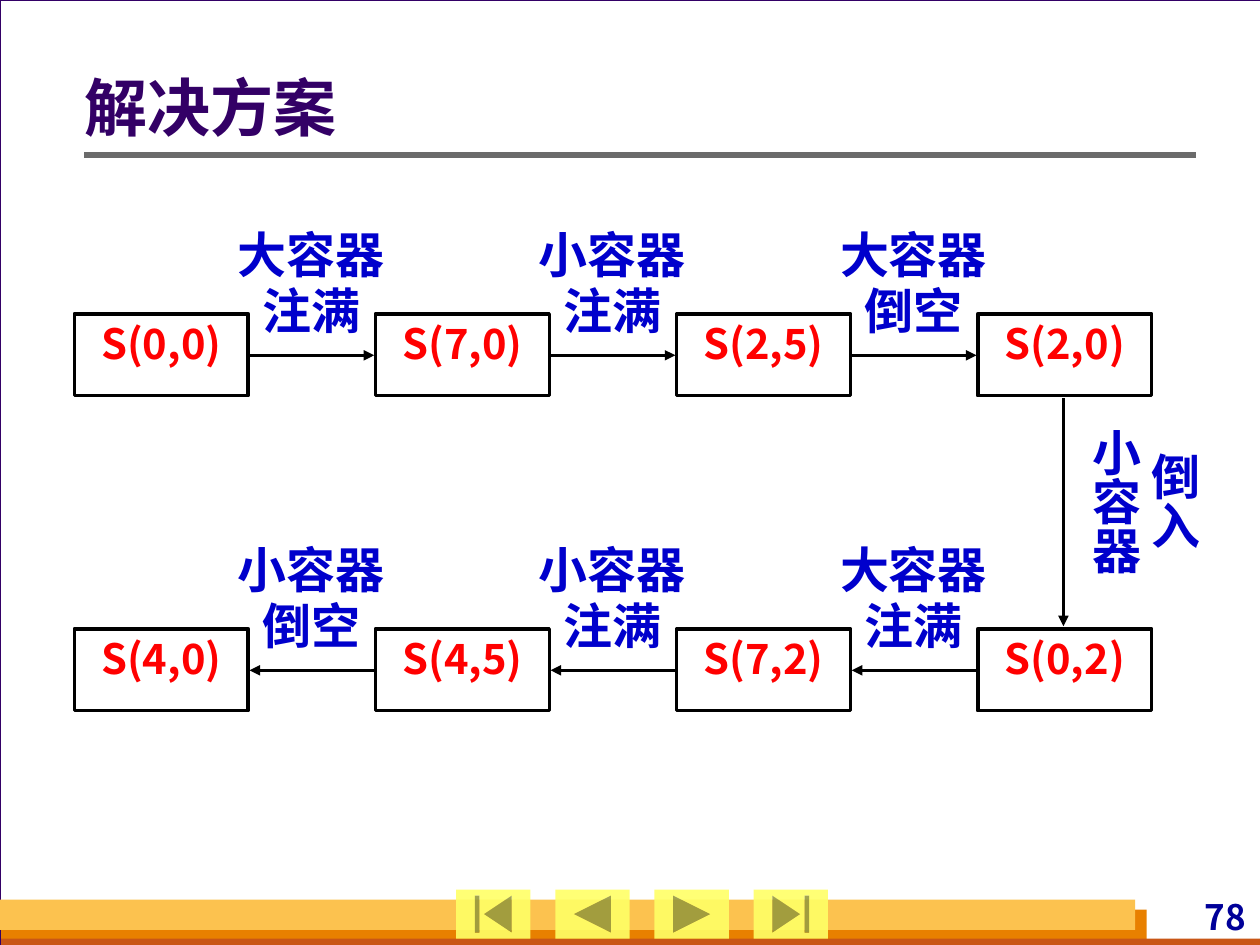
from lxml import etree
from pptx import Presentation
from pptx.dml.color import RGBColor
from pptx.enum.shapes import MSO_CONNECTOR, MSO_SHAPE
from pptx.enum.text import MSO_ANCHOR, MSO_AUTO_SIZE, PP_ALIGN
from pptx.oxml.ns import qn
from pptx.util import Inches, Pt

FONT = "Noto Sans CJK SC"
COLORS = {
    "background": "D8DADA", "white": "FFFFFF", "black": "000000",
    "title": "330066", "rule": "6B6B6B", "number": "000099",
    "orange": "E88000", "rust": "C95616", "gold": "FCC24F",
    "button": "FFFF66", "state": "FF0000", "action": "0000CC",
}

deck = Presentation()
deck.slide_width, deck.slide_height = Inches(10), Inches(7.5)
page = deck.slides.add_slide(deck.slide_layouts[5])
page.background.fill.solid()
page.background.fill.fore_color.rgb = RGBColor.from_string(COLORS["background"])


def write(box, text, size, color, align=PP_ALIGN.CENTER, spacing=1.0,
          margins=(0, 0, 0, 0), anchor=MSO_ANCHOR.TOP):
    """Fill a shape with text, one paragraph for each line."""
    frame = box.text_frame
    frame.word_wrap = True
    frame.auto_size = MSO_AUTO_SIZE.NONE
    frame.vertical_anchor = anchor
    (frame.margin_left, frame.margin_top,
     frame.margin_right, frame.margin_bottom) = [Inches(m) for m in margins]
    frame.text = text
    for para in frame.paragraphs:
        para.alignment = align
        para.line_spacing = spacing
        for span in para.runs:
            span.font.name = FONT
            span.font.size = Pt(size)
            span.font.bold = True
            span.font.color.rgb = RGBColor.from_string(COLORS[color])
            east_asian = etree.SubElement(span.font._element, qn("a:ea"))
            east_asian.set("typeface", FONT)


def connect(start, end, color="black", width=2, arrow=True):
    """Draw a straight line, with an arrowhead at its end if asked."""
    line = page.shapes.add_connector(
        MSO_CONNECTOR.STRAIGHT, *[Inches(v) for v in (*start, *end)])
    line.line.color.rgb = RGBColor.from_string(COLORS[color])
    line.line.width = Pt(width)
    if arrow:
        etree.SubElement(line.line._get_or_add_ln(), qn("a:tailEnd"), type="triangle")
    etree.SubElement(line._element.spPr, qn("a:effectLst"))


# Page frame and footer bands
bands = [
    ("white", 0, 0, 10.01, 7.5),
    ("orange", 0.01, 7.22, 9.09, 0.28),
    ("rust", 0.01, 7.45, 10, 0.08),
    ("gold", 0, 7.14, 9.01, 0.24),
]
for color, *place in bands:
    band = page.shapes.add_shape(MSO_SHAPE.RECTANGLE, *[Inches(v) for v in place])
    band.shadow.inherit = False
    band.fill.solid()
    band.fill.fore_color.rgb = RGBColor.from_string(COLORS[color])
    if color == "white":
        band.line.color.rgb = RGBColor.from_string(COLORS["title"])
        band.line.width = Pt(0.75)
    else:
        band.line.fill.background()

# Page number
number = page.shapes.add_textbox(Inches(8.86), Inches(7.11), Inches(1.07), Inches(0.33))
write(number, "78", 20, "number", align=PP_ALIGN.RIGHT, margins=(0.04, 0, 0.04, 0))

# Navigation buttons
buttons = [
    MSO_SHAPE.ACTION_BUTTON_BEGINNING,
    MSO_SHAPE.ACTION_BUTTON_BACK_OR_PREVIOUS,
    MSO_SHAPE.ACTION_BUTTON_FORWARD_OR_NEXT,
    MSO_SHAPE.ACTION_BUTTON_END,
]
for index, kind in enumerate(buttons):
    button = page.shapes.add_shape(
        kind, Inches(3.62 + 0.787 * index), Inches(7.06), Inches(0.59), Inches(0.39))
    button.shadow.inherit = False
    button.line.fill.background()
    button.fill.solid()
    button.fill.fore_color.rgb = RGBColor.from_string(COLORS["button"])
    tint = button._element.spPr.find(qn("a:solidFill"))[0]
    etree.SubElement(tint, qn("a:alpha"), val="90000")

# Title and rule, with the title brought in front of the page frame
connect((0.67, 1.23), (9.49, 1.23), color="rule", width=3, arrow=False)
title = page.shapes.title
page.shapes._spTree.append(title._element)
title.left, title.top, title.width, title.height = [
    Inches(v) for v in (0.67, 0.38, 8.82, 1.01)]
write(title, "解决方案", 36, "title", align=PP_ALIGN.LEFT, spacing=0.9,
      margins=(0, 0.05, 0.1, 0.05), anchor=MSO_ANCHOR.MIDDLE)

# Two rows of states: the upper runs to the right, the lower to the left
LEFT, STEP, STATE_WIDTH, STATE_HEIGHT = 0.59, 2.39, 1.38, 0.65
rows = [
    (2.49, True, ["S(0,0)", "S(7,0)", "S(2,5)", "S(2,0)"],
     ["大容器注满", "小容器注满", "大容器倒空"]),
    (4.99, False, ["S(4,0)", "S(4,5)", "S(7,2)", "S(0,2)"],
     ["小容器倒空", "小容器注满", "大容器注满"]),
]
for top, rightward, states, actions in rows:
    for column, state in enumerate(states):
        box = page.shapes.add_shape(
            MSO_SHAPE.RECTANGLE, Inches(LEFT + STEP * column), Inches(top),
            Inches(STATE_WIDTH), Inches(STATE_HEIGHT))
        box.shadow.inherit = False
        box.fill.solid()
        box.fill.fore_color.rgb = RGBColor.from_string(COLORS["white"])
        box.line.color.rgb = RGBColor.from_string(COLORS["black"])
        box.line.width = Pt(2)
        write(box, state, 23.8, "state", spacing=0.9, margins=(0.04, 0.08, 0.04, 0.08))
    for column, action in enumerate(actions):
        gap_left = LEFT + STEP * column + STATE_WIDTH
        label = page.shapes.add_textbox(
            Inches(gap_left - 0.09), Inches(top - 0.68), Inches(1.18), Inches(0.9))
        write(label, action, 28, "action", spacing=0.96)
        ends = [(gap_left + 0.01, top + 0.33), (gap_left + 1, top + 0.33)]
        connect(*(ends if rightward else reversed(ends)))

# Step down between the rows, with its vertical label
connect((8.44, 3.16), (8.44, 4.97))
pour = page.shapes.add_textbox(Inches(8.62), Inches(3.4), Inches(0.93), Inches(1.34))
write(pour, "倒入\n小容器", 28, "action")
pour.text_frame._txBody.bodyPr.set("vert", "eaVert")

deck.save("out.pptx")
